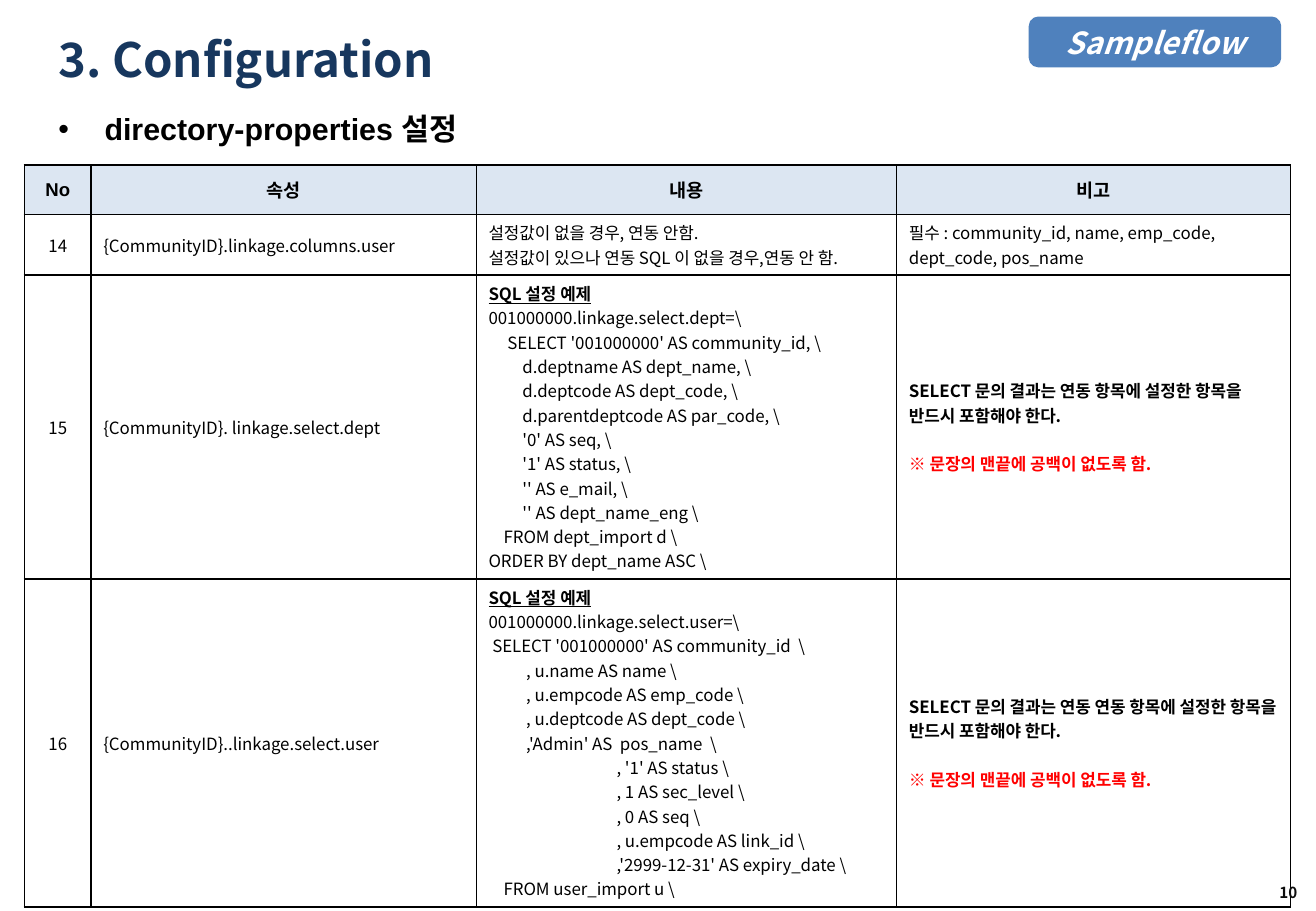
import lxml.etree
import pptx
import pptx.dml.color
import pptx.enum.shapes
import pptx.enum.text
import pptx.oxml.ns
import pptx.util

KOREAN = "Noto Sans CJK KR"
ALIGN = pptx.enum.text.PP_ALIGN
MIDDLE = pptx.enum.text.MSO_ANCHOR.MIDDLE
BLACK = "000000"
qn = pptx.oxml.ns.qn

presentation = pptx.Presentation()
presentation.slide_width = pptx.util.Inches(10.83)
presentation.slide_height = pptx.util.Inches(7.5)
slide = presentation.slides.add_slide(presentation.slide_layouts[1])


def box(left, top, width, height):
    """Turn percentages of the slide into lengths."""
    across, down = presentation.slide_width, presentation.slide_height
    return [int(share * side / 100) for share, side
            in zip((left, top, width, height), (across, down, across, down))]


def style(paragraph, size, color=BLACK, bold=False, font=KOREAN, align=ALIGN.LEFT):
    paragraph.alignment = align
    for run in paragraph.runs:
        run.font.size = pptx.util.Pt(size)
        run.font.bold = bold
        run.font.name = font
        run.font.color.rgb = pptx.dml.color.RGBColor.from_string(color)
        east_asian = lxml.etree.Element(qn("a:ea"), typeface=KOREAN)
        run.font._element.find(qn("a:latin")).addnext(east_asian)


# Product badge
badge = slide.shapes.add_shape(
    pptx.enum.shapes.MSO_SHAPE.ROUNDED_RECTANGLE, *box(78.3, 2, 18.93, 5.2))
badge.shadow.inherit = False
badge.fill.solid()
badge.fill.fore_color.rgb = pptx.dml.color.RGBColor.from_string("4F81BD")
badge.line.color.rgb = pptx.dml.color.RGBColor.from_string("4F81BD")
badge.line.width = pptx.util.Pt(2)
badge.text_frame.text = "Sampleflow"
badge.text_frame.vertical_anchor = MIDDLE
style(badge.text_frame.paragraphs[0], 18, "FFFFFF", True, align=ALIGN.CENTER)
badge.text_frame.paragraphs[0].runs[0].font.italic = True

# Title and subtitle
title, body = slide.shapes.title, slide.placeholders[1]
title.left, title.top, title.width, title.height = box(3.51, 2.8, 90, 7.33)
body.left, body.top, body.width, body.height = box(3.51, 11.47, 91.5, 6)
title.text_frame.text = "3. Configuration"
body.text_frame.text = "directory-properties 설정"
for placeholder in (title, body):
    placeholder.text_frame.auto_size = pptx.enum.text.MSO_AUTO_SIZE.NONE
title.text_frame.vertical_anchor = MIDDLE
style(title.text_frame.paragraphs[0], 28, "17375E", True)
bullet = body.text_frame.paragraphs[0]
style(bullet, 18, bold=True, font="Arial")
bullet_indent = pptx.util.Inches(0.38)
bullet._p.get_or_add_pPr().set("marL", str(bullet_indent))
bullet._p.get_or_add_pPr().set("indent", str(-bullet_indent))

# Table content: each line is its indent in space widths and its text
SQL_HEADING = "SQL 설정 예제"
WARNING = "※ 문장의 맨끝에 공백이 없도록 함."
REQUIRED = "SELECT 문의 결과는 연동 {}항목에 설정한 항목을 반드시 포함해야 한다."
department_sql = [
    (0, SQL_HEADING),
    (0, "001000000.linkage.select.dept=\\"),
    (5, "SELECT '001000000' AS community_id, \\"),
    (9, "d.deptname AS dept_name, \\"),
    (9, "d.deptcode AS dept_code, \\"),
    (9, "d.parentdeptcode AS par_code, \\"),
    (9, "'0' AS seq, \\"),
    (9, "'1' AS status, \\"),
    (9, "'' AS e_mail, \\"),
    (9, "'' AS dept_name_eng \\"),
    (4, "FROM dept_import d \\"),
    (0, "ORDER BY dept_name ASC \\"),
]
user_sql = [
    (0, SQL_HEADING),
    (0, "001000000.linkage.select.user=\\"),
    (1, "SELECT '001000000' AS community_id  \\"),
    (10, ", u.name AS name \\"),
    (10, ", u.empcode AS emp_code \\"),
    (10, ", u.deptcode AS dept_code \\"),
    (10, ",'Admin' AS  pos_name  \\"),
    (34, ", '1' AS status \\"),
    (34, ", 1 AS sec_level \\"),
    (34, ", 0 AS seq \\"),
    (34, ", u.empcode AS link_id \\"),
    (34, ",'2999-12-31' AS expiry_date \\"),
    (4, "FROM user_import u \\"),
]
no_linkage = [
    (0, "설정값이 없을 경우, 연동 안함."),
    (0, "설정값이 있으나 연동 SQL 이 없을 경우,연동 안 함."),
]
rows = [
    [[(0, heading)] for heading in ("No", "속성", "내용", "비고")],
    [[(0, "14")], [(0, "{CommunityID}.linkage.columns.user")], no_linkage,
     [(0, "필수 : community_id, name, emp_code, dept_code, pos_name")]],
    [[(0, "15")], [(0, "{CommunityID}. linkage.select.dept")], department_sql,
     [(0, REQUIRED.format("")), (0, WARNING)]],
    [[(0, "16")], [(0, "{CommunityID}..linkage.select.user")], user_sql,
     [(0, REQUIRED.format("연동 ")), (0, WARNING)]],
]
column_shares = [5.08, 29.27, 31.95, 29.92]
row_shares = [5.4, 6.67, 33.33, 36]

# Table grid
table = slide.shapes.add_table(
    len(rows), len(column_shares),
    *box(1.85, 18.13, sum(column_shares), sum(row_shares))).table
table.first_row = table.horz_banding = False
for column, share in zip(table.columns, column_shares):
    column.width = int(presentation.slide_width * share / 100)
for row, share in zip(table.rows, row_shares):
    row.height = int(presentation.slide_height * share / 100)

# Table cells
space_width = pptx.util.Inches(0.031)
for row_index, row in enumerate(rows):
    for column_index, lines in enumerate(row):
        cell = table.cell(row_index, column_index)
        header = row_index == 0
        cell.vertical_anchor = MIDDLE
        cell.text_frame.text = "\n".join(text for _, text in lines)
        for paragraph, (indent, text) in zip(cell.text_frame.paragraphs, lines):
            emphasis = text in (SQL_HEADING, WARNING) or text.startswith("SELECT 문")
            style(paragraph, 11 if header else 10,
                  "FF0000" if text == WARNING else BLACK, header or emphasis,
                  "Arial" if header else KOREAN,
                  ALIGN.CENTER if header or column_index == 0 else ALIGN.LEFT)
            if indent:
                paragraph._p.get_or_add_pPr().set("marL", str(indent * space_width))
            if text == SQL_HEADING:
                paragraph.runs[0].font.underline = True
            if text == WARNING:
                paragraph.space_before = pptx.util.Pt(14.5)
        if header:
            cell.fill.solid()
            cell.fill.fore_color.rgb = pptx.dml.color.RGBColor.from_string("DCE6F2")
        else:
            cell.fill.background()
        properties = cell._tc.get_or_add_tcPr()
        for position, side in enumerate(("a:lnL", "a:lnR", "a:lnT", "a:lnB")):
            border = lxml.etree.Element(qn(side), w=str(pptx.util.Pt(1)))
            fill = lxml.etree.SubElement(border, qn("a:solidFill"))
            lxml.etree.SubElement(fill, qn("a:srgbClr"), val=BLACK)
            properties.insert(position, border)

# Page number
page_number = slide.shapes.add_textbox(*box(89, 96, 10.5, 4))
page_number.text_frame.word_wrap = True
page_number.text_frame.vertical_anchor = MIDDLE
page_number.text_frame.text = "10"
style(page_number.text_frame.paragraphs[0], 9, "0D0D0D", True, align=ALIGN.RIGHT)

presentation.save("out.pptx")
